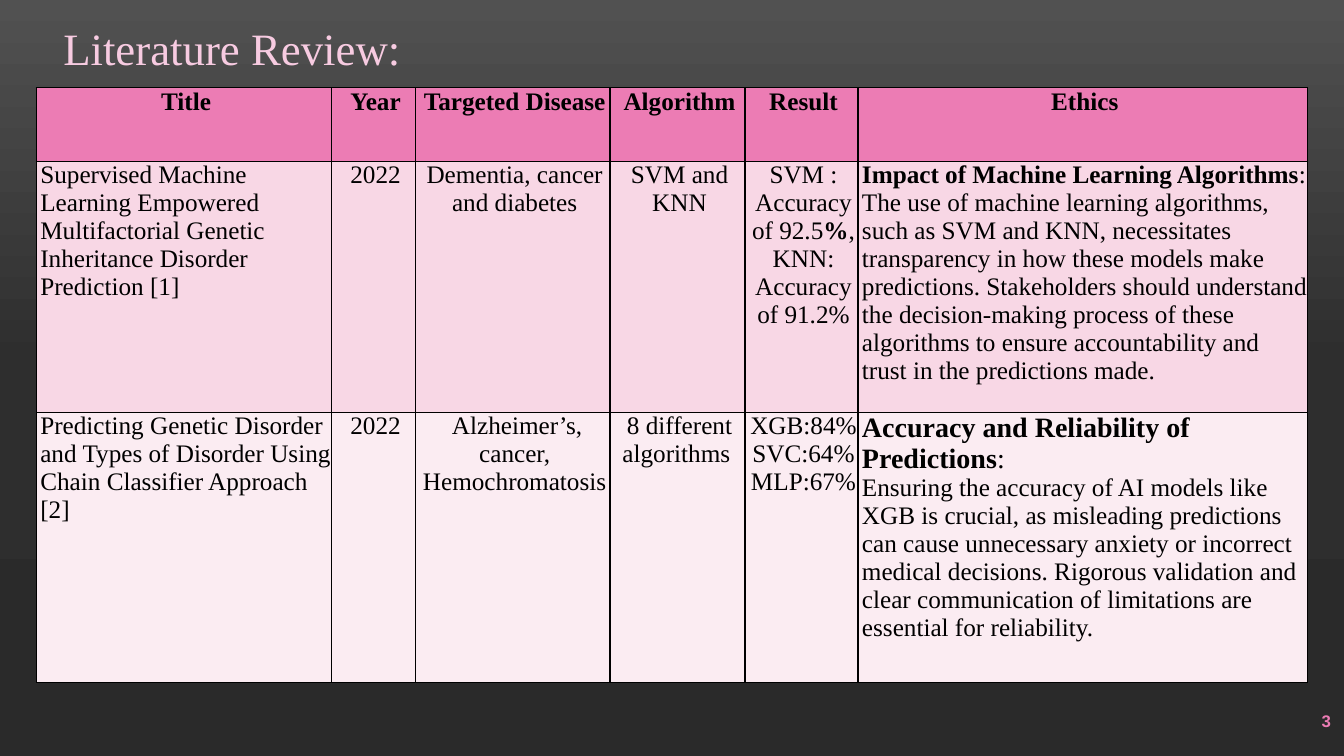
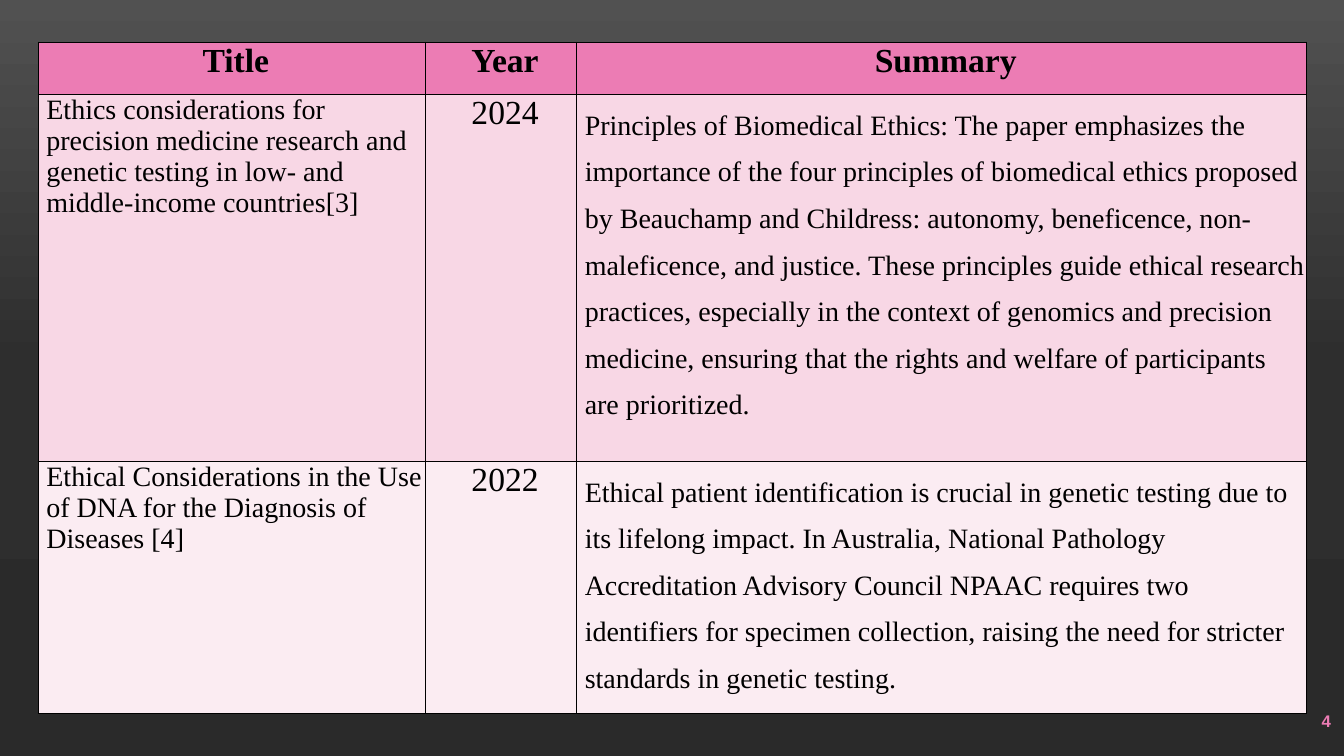
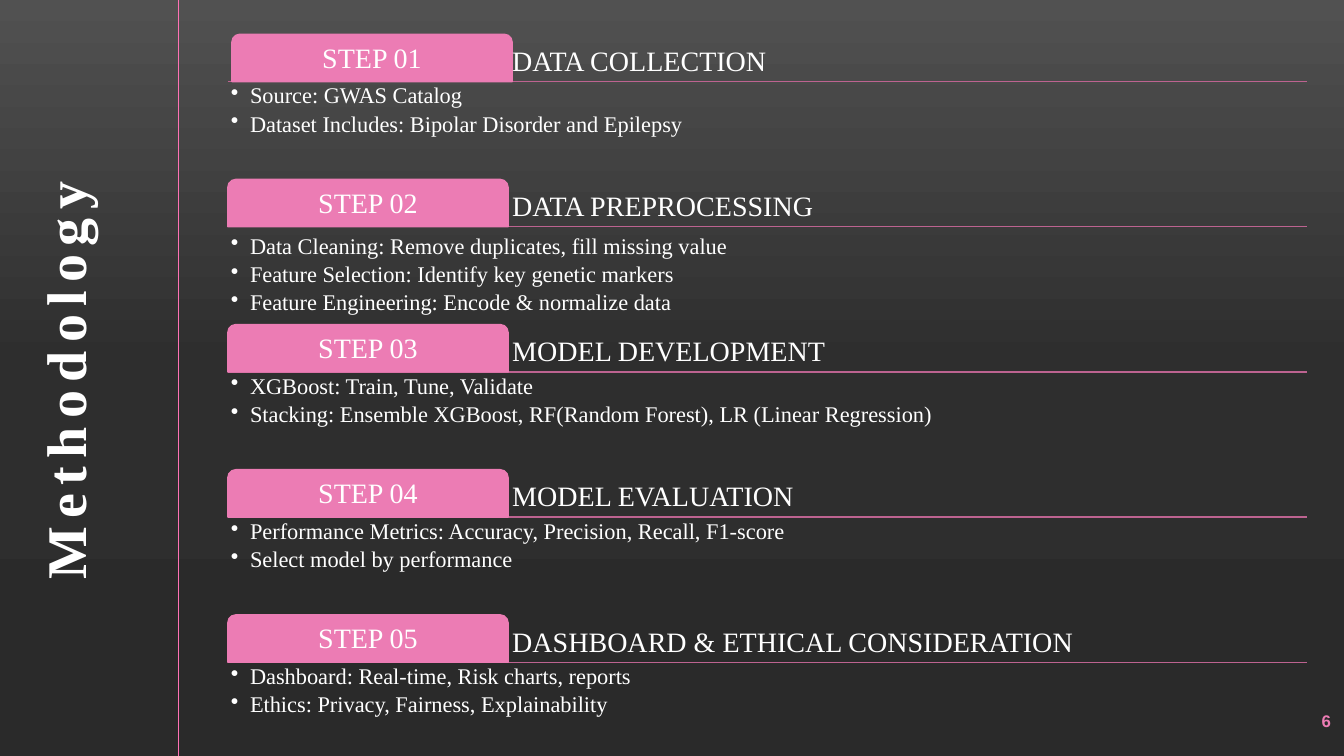
"""Build three dark slides on genetic disorder prediction: two review tables and a method."""
from copy import deepcopy
from dataclasses import dataclass

from lxml.etree import SubElement as Sub
from pptx import Presentation
from pptx.dml.color import RGBColor as Rgb
from pptx.enum.shapes import MSO_CONNECTOR as Conn, MSO_SHAPE as Kind
from pptx.enum.text import MSO_ANCHOR as Anchor, PP_ALIGN as Align
from pptx.oxml.ns import qn
from pptx.util import Inches, Pt

HUES = {
    "pink": "EC7CB4", "edge": "FF71B5", "rule": "BD6390", "title": "F7CBE1",
    "odd": "F8D7E5", "even": "FBECF2", "black": "000000", "white": "FFFFFF",
}
SKY = ((0, "515151"), (0.48, "2E2E2E"), (1, "2A2A2A"))
SERIF, SANS = "Times New Roman", "Arial"
STEP_TOP, STEP_GAP = 0.81, 1.44
STEP_LEFT, STEP_END = 2.26, 12.96
TAB_W, TAB_H = 2.78, 0.47


@dataclass(frozen=True)
class Line:
    """A paragraph whose parts between asterisks are bold, with its own size."""
    text: str
    size: float


@dataclass(frozen=True)
class Grid:
    """A table with its place, column and row sizes, text sizes and cells."""
    left: float
    top: float
    cols: tuple[float, ...]
    rows: tuple[float, ...]
    indent: float
    head: float
    sizes: tuple[float, ...]
    pitch: float
    cells: tuple[tuple[str | tuple[Line, ...], ...], ...]


@dataclass(frozen=True)
class Step:
    """A method step with its heading, its bullets and small offsets."""
    name: str
    items: tuple[str, ...]
    shift: float = 0
    drop: float = 0


REVIEW = Grid(
    0.36, 0.87, (2.93, 0.83, 1.93, 1.34, 1.12, 4.46), (0.73, 2.49, 2.68),
    0.04, 18, (18,) * 6, 1,
    (
        ("Title", "Year", "Targeted Disease", "Algorithm", "Result", "Ethics"),
        (
            "Supervised Machine Learning Empowered Multifactorial Genetic "
            "Inheritance Disorder Prediction [1]",
            "2022",
            "Dementia, cancer and diabetes",
            "SVM and KNN",
            "SVM :\nAccuracy of 92.5*%*,\nKNN: Accuracy of 91.2%",
            "*Impact of Machine Learning Algorithms*: The use of machine learning "
            "algorithms, such as SVM and KNN, necessitates transparency in how these "
            "models make predictions. Stakeholders should understand the "
            "decision-making process of these algorithms to ensure accountability "
            "and trust in the predictions made.",
        ),
        (
            "Predicting Genetic Disorder and Types of Disorder Using Chain "
            "Classifier Approach [2]",
            "2022",
            " Alzheimer’s, cancer, Hemochromatosis",
            "8 different algorithms ",
            "XGB:84%\nSVC:64%\nMLP:67%",
            (
                Line("*Accuracy and Reliability of Predictions*:", 20),
                Line("Ensuring the accuracy of AI models like XGB is crucial, as "
                     "misleading predictions can cause unnecessary anxiety or "
                     "incorrect medical decisions. Rigorous validation and clear "
                     "communication of limitations are essential for reliability.",
                     18),
            ),
        ),
    ),
)
ETHICS = Grid(
    0.38, 0.42, (3.84, 1.5, 7.24), (0.52, 3.64, 2.5),
    0.08, 24, (20, 24, 20), 1.5,
    (
        ("Title", "Year", "Summary"),
        (
            "Ethics considerations for precision medicine research and genetic "
            "testing in low- and middle-income countries[3]",
            "2024",
            "Principles of Biomedical Ethics: The paper emphasizes the importance of "
            "the four principles of biomedical ethics proposed by Beauchamp and "
            "Childress: autonomy, beneficence, non-maleficence, and justice. These "
            "principles guide ethical research practices, especially in the context "
            "of genomics and precision medicine, ensuring that the rights and "
            "welfare of participants are prioritized.",
        ),
        (
            "Ethical Considerations in the Use of DNA for the Diagnosis of "
            "Diseases [4]",
            "2022",
            "Ethical patient identification is crucial in genetic testing due to its "
            "lifelong impact. In Australia, National Pathology Accreditation "
            "Advisory Council NPAAC requires two identifiers for specimen "
            "collection, raising the need for stricter standards in genetic testing.",
        ),
    ),
)
STEPS = (
    Step("DATA COLLECTION", (
        "Source: GWAS Catalog",
        "Dataset Includes: Bipolar Disorder and Epilepsy"), shift=0.04),
    Step("DATA PREPROCESSING", (
        "Data Cleaning: Remove duplicates, fill missing value",
        "Feature Selection: Identify key genetic markers",
        "Feature Engineering: Encode & normalize data"), drop=0.05),
    Step("MODEL DEVELOPMENT", (
        "XGBoost: Train, Tune, Validate",
        "Stacking: Ensemble XGBoost, RF(Random Forest), LR (Linear Regression)")),
    Step("MODEL EVALUATION", (
        "Performance Metrics: Accuracy, Precision, Recall, F1-score",
        "Select model by performance")),
    Step("DASHBOARD & ETHICAL CONSIDERATION", (
        "Dashboard: Real-time, Risk charts, reports",
        "Ethics: Privacy, Fairness, Explainability")),
)


def hue(name: str) -> Rgb:
    """Return a named colour."""
    return Rgb.from_string(HUES[name])


def write(para, text: str, size: float, color: str, face: str = SERIF,
          bold: bool = False, align=Align.LEFT, pitch: float = 1) -> None:
    """Fill a paragraph, with the parts between asterisks in bold."""
    font = para.font
    font.name, font.size, font.bold = face, Pt(size), bold
    font.color.rgb = hue(color)
    para.alignment, para.line_spacing = align, pitch
    for i, part in enumerate(text.split("*")):
        if part:
            run = para.add_run()
            run.text = part
            if i % 2:
                run.font.bold = True


def indent(para, left: float, first: float = 0) -> None:
    """Set the left margin and first-line indent of a paragraph."""
    props = para._p.get_or_add_pPr()
    props.set("marL", str(Inches(left)))
    props.set("indent", str(Inches(first)))


def pad(frame, gap: float, anchor=Anchor.TOP) -> None:
    """Give a text frame equal margins, wrapping and an anchor."""
    frame.margin_left = frame.margin_right = Inches(gap)
    frame.margin_top = frame.margin_bottom = Inches(gap)
    frame.word_wrap, frame.vertical_anchor = True, anchor


def box(slide, left: float, top: float, wide: float, high: float,
        gap: float = 0.05, anchor=Anchor.TOP):
    """Add a text box and return its frame."""
    frame = slide.shapes.add_textbox(
        Inches(left), Inches(top), Inches(wide), Inches(high)).text_frame
    pad(frame, gap, anchor)
    return frame


def paint(master) -> None:
    """Give the master the shared dark gradient."""
    fill = master.background.fill
    fill.gradient()
    fill.gradient_angle = 270
    stops = master.element.xpath(".//p:bg//a:gsLst")[0]
    stops.append(deepcopy(stops[0]))
    for stop, (place, color) in zip(fill.gradient_stops, SKY):
        stop.position = place
        stop.color.rgb = Rgb.from_string(color)


def add_page(deck, number: int):
    """Add a blank slide with its number."""
    slide = deck.slides.add_slide(deck.slide_layouts[6])
    frame = box(slide, 11.63, 6.95, 1.67, 0.4, 0.1, Anchor.MIDDLE)
    write(frame.paragraphs[0], str(number), 12, "pink", SANS, True, Align.RIGHT)
    return slide


def frame_cell(cell) -> None:
    """Draw black borders around a cell."""
    props = cell._tc.get_or_add_tcPr()
    for side in ("lnL", "lnR", "lnT", "lnB"):
        edge = Sub(props, qn(f"a:{side}"), w=str(Pt(1)))
        Sub(Sub(edge, qn("a:solidFill")), qn("a:srgbClr"), val=HUES["black"])


def add_grid(slide, grid: Grid) -> None:
    """Draw a review table, its first and last columns set left."""
    table = slide.shapes.add_table(
        len(grid.rows), len(grid.cols), Inches(grid.left), Inches(grid.top),
        Inches(sum(grid.cols)), Inches(sum(grid.rows))).table
    table.first_row = table.horz_banding = False
    for col, wide in zip(table.columns, grid.cols):
        col.width = Inches(wide)
    for row, high in zip(table.rows, grid.rows):
        row.height = Inches(high)
    last = len(grid.cols) - 1
    for r, row in enumerate(grid.cells):
        for c, entry in enumerate(row):
            cell = table.cell(r, c)
            frame_cell(cell)
            cell.fill.solid()
            cell.fill.fore_color.rgb = hue(("pink", "odd", "even")[r])
            cell.margin_left = cell.margin_right = 0
            cell.margin_top = cell.margin_bottom = 0
            size = grid.sizes[c] if r else grid.head
            if isinstance(entry, str):
                entry = tuple(Line(text, size) for text in entry.split("\n"))
            align = Align.LEFT if r and c in (0, last) else Align.CENTER
            pitch = grid.pitch if r and c == last else 1
            frame = cell.text_frame
            for i, line in enumerate(entry):
                para = frame.add_paragraph() if i else frame.paragraphs[0]
                write(para, line.text, line.size, "black", bold=not r,
                      align=align, pitch=pitch)
                indent(para, grid.indent)


def add_side(slide, text: str) -> None:
    """Draw the outlined side panel with its upright title."""
    panel = slide.shapes.add_shape(
        Kind.RECTANGLE, Inches(-2.98), Inches(2.89), Inches(7.73), Inches(1.77))
    panel.rotation = 270
    panel.shadow.inherit = False
    panel.fill.background()
    panel.line.color.rgb, panel.line.width = hue("edge"), Pt(0.75)
    frame = panel.text_frame
    pad(frame, 0.05, Anchor.MIDDLE)
    frame.margin_bottom = Inches(0.55)
    para = frame.paragraphs[0]
    write(para, text, 40, "white", bold=True, align=Align.CENTER)
    para.runs[0].font._element.set("spc", "600")


def add_step(slide, rank: int, step: Step) -> None:
    """Draw one step: rule, tab, heading and bullets."""
    base = STEP_TOP + rank * STEP_GAP
    top = base - TAB_H
    rule = slide.shapes.add_connector(
        Conn.STRAIGHT, Inches(STEP_LEFT), Inches(base), Inches(STEP_END), Inches(base))
    rule.line.color.rgb, rule.line.width = hue("rule"), Pt(1)
    Sub(rule._element.spPr, qn("a:effectLst"))

    tab = slide.shapes.add_shape(
        Kind.ROUND_2_SAME_RECTANGLE, Inches(STEP_LEFT + step.shift), Inches(top),
        Inches(TAB_W), Inches(TAB_H))
    tab.shadow.inherit = False
    tab.fill.solid()
    tab.fill.fore_color.rgb = tab.line.color.rgb = hue("pink")
    tab.line.width = Pt(1)
    pad(tab.text_frame, 0.04, Anchor.MIDDLE)
    write(tab.text_frame.paragraphs[0], f"STEP {rank + 1:02}", 20, "white",
          align=Align.CENTER, pitch=0.9)

    left = STEP_LEFT + TAB_W
    head = box(slide, left, top, STEP_END - left, TAB_H, 0.04, Anchor.BOTTOM)
    write(head.paragraphs[0], step.name, 20, "white", pitch=0.9)

    body = box(slide, STEP_LEFT, base + step.drop, STEP_END - STEP_LEFT, 0.9, 0.03)
    for i, item in enumerate(step.items):
        para = body.add_paragraph() if i else body.paragraphs[0]
        write(para, item, 16, "white", pitch=0.9)
        para.space_after = Pt(3)
        indent(para, 0.19, -0.19)
        mark = para._p.get_or_add_pPr()
        bullet = Sub(mark, qn("a:buChar"), char="•")
        mark.find(qn("a:defRPr")).addprevious(bullet)


def main() -> None:
    """Build and save the deck."""
    deck = Presentation()
    deck.slide_width, deck.slide_height = Inches(13.33), Inches(7.5)
    paint(deck.slide_master)

    review = add_page(deck, 3)
    add_grid(review, REVIEW)
    title = box(review, 0.53, 0.16, 4.5, 0.64, 0.1)
    title.margin_top = title.margin_bottom = Inches(0.05)
    write(title.paragraphs[0], "Literature Review:", 32, "title")

    add_grid(add_page(deck, 4), ETHICS)

    method = add_page(deck, 6)
    add_side(method, "Methodology")
    for rank, step in enumerate(STEPS):
        add_step(method, rank, step)
    deck.save("out.pptx")


if __name__ == "__main__":
    main()
